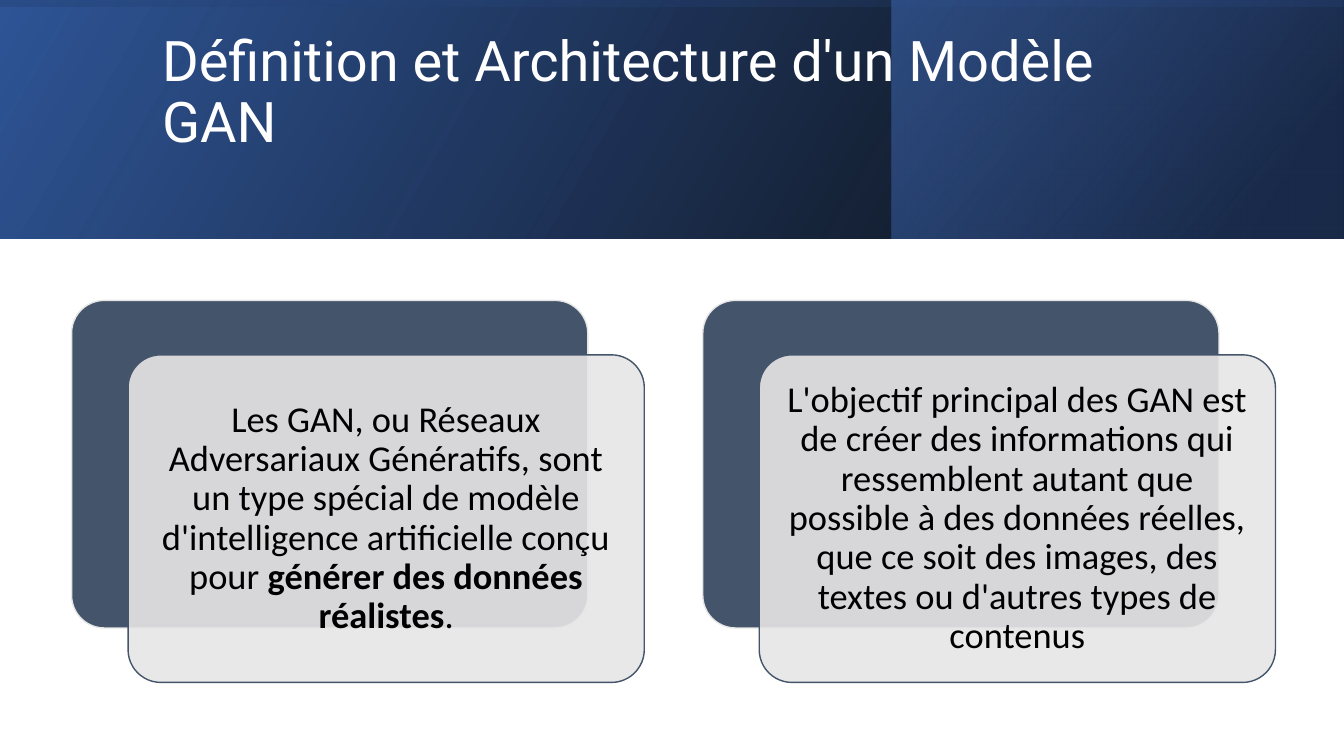
from lxml import etree
from pptx import Presentation
from pptx.dml.color import RGBColor
from pptx.enum.shapes import MSO_SHAPE as SHAPE
from pptx.enum.text import MSO_ANCHOR as ANCHOR, PP_ALIGN as ALIGN
from pptx.oxml import parse_xml
from pptx.oxml.ns import nsdecls, qn
from pptx.util import Inches, Pt

C = {"white": "FFFFFF", "black": "000000", "slate": "44546A", "pale": "E7E6E6",
     "blue": "2F5597", "navy": "203864", "sky": "4472C4"}

prs = Presentation()
prs.slide_width, prs.slide_height = Inches(13.33), Inches(7.5)
s = prs.slides.add_slide(prs.slide_layouts[6])


def add_shape(kind, x, y, w, h):
    sp = s.shapes.add_shape(kind, Inches(x), Inches(y), Inches(w), Inches(h))
    sp.shadow.inherit = False
    return sp


def add_text(x, y, w, h, anchor, inset):
    tf = s.shapes.add_textbox(Inches(x), Inches(y), Inches(w), Inches(h)).text_frame
    tf.word_wrap, tf.vertical_anchor = True, anchor
    tf.margin_left = tf.margin_right = Inches(0.1)
    tf.margin_top = tf.margin_bottom = Inches(inset)
    return tf


# Header band: three mirrored gradients; stops are (position %, colour, opacity %)
W, BAND = 13.33, 2.37
bands = [
    ((0, 0, W, BAND), 0, 330, [(0, "black", 96), (100, "blue", 100)]),
    ((8.84, 0, 4.48, BAND), 0, 320, [(19, "navy", 68), (100, "sky", 48)]),
    (((W - BAND) / 2, (BAND - W) / 2, BAND, W), 270, 350,
     [(23, "blue", 16), (99, "black", 45)]),
]
for box, turn, angle, stops in bands:
    sp = add_shape(SHAPE.RECTANGLE, *box)
    sp.rotation = turn
    sp.line.fill.background()
    spPr = sp._element.spPr
    spPr.find(qn("a:xfrm")).set("flipH", "1")
    gs = "".join(f'<a:gs pos="{pos * 1000}"><a:srgbClr val="{C[name]}">'
                 f'<a:alpha val="{alpha * 1000}"/></a:srgbClr></a:gs>'
                 for pos, name, alpha in stops)
    spPr.find(qn("a:prstGeom")).addnext(parse_xml(
        f'<a:gradFill {nsdecls("a")} rotWithShape="1"><a:gsLst>{gs}</a:gsLst>'
        f'<a:lin ang="{angle * 60000}" scaled="0"/></a:gradFill>'))

# Title
tf = add_text(1.51, 0.33, 10.63, 1.72, ANCHOR.TOP, 0)
p = tf.paragraphs[0]
p.text = "Définition et Architecture d'un Modèle GAN"
p.line_spacing = 0.9
f = p.runs[0].font
f.name, f.size, f.color.rgb = "Roboto", Pt(40), RGBColor.from_string(C["white"])

# Two cards, each a dark plate with a translucent panel in front; runs are (text, bold)
LEFT, TOP, PITCH = 0.71, 2.98, 6.26
CARD_W, CARD_H, DX, DY, PAD = 5.12, 3.25, 0.56, 0.54, 0.1
cards = [
    [("Les GAN, ou Réseaux Adversariaux Génératifs, sont un type spécial de modèle "
      "d'intelligence artificielle conçu pour ", False),
     ("générer des données réalistes", True), (".", False)],
    [("L'objectif principal des GAN est de créer des informations qui ressemblent "
      "autant que possible à des données réelles, que ce soit des images, des textes "
      "ou d'autres types de contenus", False)],
]
for col, runs in enumerate(cards):
    x = LEFT + col * PITCH
    for dx, dy, fill, line in [(0, 0, "slate", "pale"), (DX, DY, "pale", "slate")]:
        sp = add_shape(SHAPE.ROUNDED_RECTANGLE, x + dx, TOP + dy, CARD_W, CARD_H)
        sp.adjustments[0] = 0.1
        sp.fill.solid()
        sp.fill.fore_color.rgb = RGBColor.from_string(C[fill])
        sp.line.color.rgb = RGBColor.from_string(C[line])
        sp.line.width = Pt(1)
    # Front panel at 90 % opacity
    clr = sp._element.spPr.find(qn("a:solidFill")).find(qn("a:srgbClr"))
    etree.SubElement(clr, qn("a:alpha")).set("val", "90000")

    tf = add_text(x + DX + PAD, TOP + DY + PAD, CARD_W - 2 * PAD, CARD_H - 2 * PAD,
                  ANCHOR.MIDDLE, 0.11)
    p = tf.paragraphs[0]
    p.alignment, p.line_spacing = ALIGN.CENTER, 0.9
    for text, bold in runs:
        r = p.add_run()
        r.text = text
        f = r.font
        f.name, f.size, f.bold = "Calibri", Pt(26), bold
        f.color.rgb = RGBColor.from_string(C["black"])

prs.save("out.pptx")
